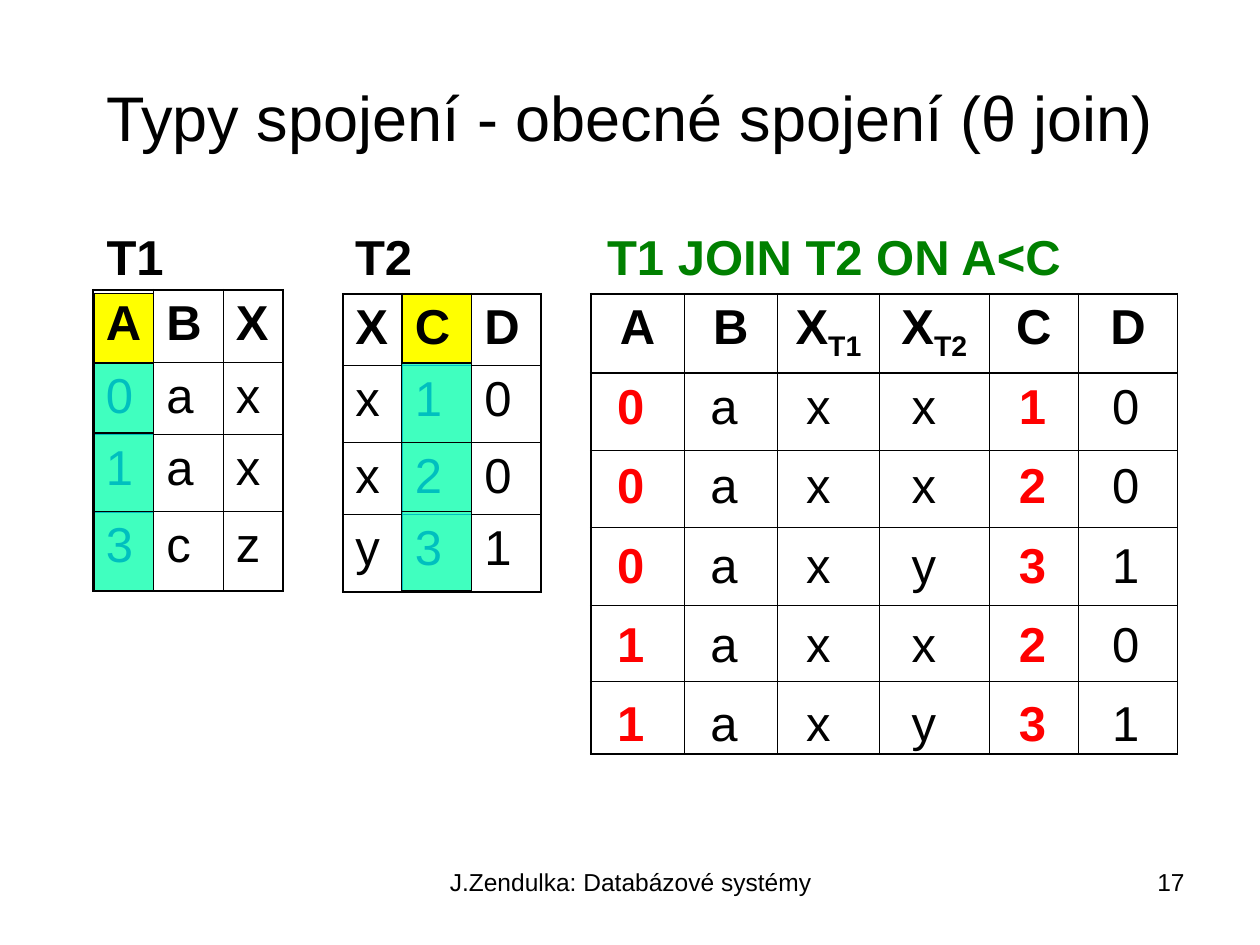
from lxml.etree import SubElement
from pptx import Presentation
from pptx.dml.color import RGBColor
from pptx.enum.shapes import MSO_SHAPE
from pptx.enum.text import MSO_ANCHOR, PP_ALIGN
from pptx.oxml.ns import qn
from pptx.util import Cm, Pt

BLACK, RED, GREEN = "000000", "FF0000", "008000"
YELLOW, CYAN = "FFFF00", "00FFFF"
THIN, THICK = 0.45, 1.08


def rgb(value):
    return RGBColor.from_string(value)


class SlideBuilder:
    font = "Arial"
    size = 28

    def __init__(self, slide):
        self.slide = slide

    def run(self, p, text, size=None, color=BLACK, bold=False, sub=False):
        r = p.add_run()
        r.text = text
        r.font.name = self.font
        r.font.size = Pt(size or self.size)
        r.font.bold = bold
        r.font.color.rgb = rgb(color)
        if sub:
            r.font._element.set("baseline", "-25000")

    def box(self, x, y, w, h, anchor=MSO_ANCHOR.TOP, align=PP_ALIGN.LEFT,
            left=0.25, top=0.13):
        """Add an empty text box and return its first paragraph."""
        tf = self.slide.shapes.add_textbox(Cm(x), Cm(y), Cm(w), Cm(h)).text_frame
        tf.word_wrap = True
        tf.vertical_anchor = anchor
        tf.margin_left, tf.margin_top = Cm(left), Cm(top)
        tf.paragraphs[0].alignment = align
        return tf.paragraphs[0]

    def text(self, x, y, w, h, text, size=None, color=BLACK, bold=False, **layout):
        self.run(self.box(x, y, w, h, **layout), text, size, color, bold)

    def tabbed_row(self, x, y, w, h, values, stops, marked):
        """Write values on tab stops, those in marked columns bold red."""
        p = self.box(x, y, w, h, left=0.53, top=0.25)
        tabs = SubElement(p._p.get_or_add_pPr(), qn("a:tabLst"))
        for stop in stops:
            SubElement(tabs, qn("a:tab"), pos=str(Cm(stop)), algn="l")
        for i, value in enumerate(values):
            if i:
                self.run(p, "\t")
            hit = i in marked
            self.run(p, value, color=RED if hit else BLACK, bold=hit)

    def rect(self, x, y, w, h, color, opacity=100):
        sp = self.slide.shapes.add_shape(
            MSO_SHAPE.RECTANGLE, Cm(x), Cm(y), Cm(w), Cm(h))
        sp.shadow.inherit = False
        sp.fill.solid()
        sp.fill.fore_color.rgb = rgb(color)
        if opacity < 100:
            clr = sp.fill._xPr.find(qn("a:solidFill"))[0]
            SubElement(clr, qn("a:alpha"), val=str(opacity * 1000))
        sp.line.color.rgb = rgb(BLACK)
        sp.line.width = Pt(0.75)

    def border(self, cell, side, width):
        ln = SubElement(cell._tc.get_or_add_tcPr(), qn("a:" + side),
                        w=str(Pt(width)))
        fill = SubElement(ln, qn("a:solidFill"))
        SubElement(fill, qn("a:srgbClr"), val=BLACK)

    def table(self, x, y, widths, heights, rows, align=PP_ALIGN.LEFT):
        """Add a ruled table; a cell "X_T1" shows T1 as a subscript."""
        n_rows, n_cols = len(heights), len(widths)
        tbl = self.slide.shapes.add_table(
            n_rows, n_cols, Cm(x), Cm(y), Cm(sum(widths)), Cm(sum(heights))).table
        tbl.first_row = tbl.horz_banding = False
        for column, width in zip(tbl.columns, widths):
            column.width = Cm(width)
        for row, height in zip(tbl.rows, heights):
            row.height = Cm(height)
        for i in range(n_rows):
            for j in range(n_cols):
                cell = tbl.cell(i, j)
                thick = {"lnL": j == 0, "lnR": j == n_cols - 1,
                         "lnT": i < 2, "lnB": i in (0, n_rows - 1)}
                for side, is_thick in thick.items():
                    self.border(cell, side, THICK if is_thick else THIN)
                cell.fill.background()
                if i < len(rows):
                    p = cell.text_frame.paragraphs[0]
                    p.alignment = align
                    base, _, index = rows[i][j].partition("_")
                    self.run(p, base, bold=i == 0)
                    if index:
                        self.run(p, index, bold=i == 0, sub=True)


def main():
    prs = Presentation()
    prs.slide_width, prs.slide_height = Cm(25.4), Cm(19.05)
    s = SlideBuilder(prs.slides.add_slide(prs.slide_layouts[6]))

    s.text(8.69, 17.35, 8.05, 1.32, "J.Zendulka: Databázové systémy", 14,
           align=PP_ALIGN.CENTER)
    s.text(18.21, 17.35, 5.92, 1.32, "17", 14, align=PP_ALIGN.RIGHT)
    s.text(1.27, 0.76, 22.86, 3.18, "Typy spojení - obecné spojení (θ join)", 36,
           anchor=MSO_ANCHOR.MIDDLE, align=PP_ALIGN.CENTER)

    # Join columns: left, width and the (top, height) of each value
    join_columns = [
        (1.9, 1.2, [(7.32, 1.4), (8.74, 1.6), (10.31, 1.6)]),
        (8.1, 1.4, [(7.32, 1.6), (8.92, 1.4), (10.31, 1.6)]),
    ]
    for x, w, _ in join_columns:
        s.rect(x, 5.92, w, 6, YELLOW)

    s.table(1.88, 5.84, [1.22, 1.4, 1.2], [1.47, 1.45, 1.55, 1.6],
            ["ABX", "0ax", "1ax", "3cz"])
    s.table(6.91, 5.92, [1.2, 1.4, 1.4], [1.45, 1.55, 1.45, 1.57],
            ["XCD", "x10", "x20", "y31"])
    s.table(11.91, 5.92, [1.88, 1.88, 2.06, 2.21, 1.8, 2],
            [1.6, 1.55, 1.55, 1.57, 1.55, 1.45],
            [["A", "B", "X_T1", "X_T2", "C", "D"]], PP_ALIGN.CENTER)

    for x, w, label, color in [(1.9, 1.8, "T1", BLACK), (6.91, 1.8, "T2", BLACK),
                               (11.99, 9.9, "T1 JOIN T2 ON A<C", GREEN)]:
        s.text(x, 4.32, w, 1.45, label, color=color, bold=True, top=0.25)

    for x, w, spans in join_columns:
        for y, h in spans:
            s.rect(x, y, w, h, CYAN, 75)

    for i, values in enumerate(["0axx10", "0axx20", "0axy31", "1axx20", "1axy31"]):
        s.tabbed_row(11.91, 7.32 + 1.6 * i, 12, 1.45, values,
                     [1.88, 3.81, 5.94, 8.1, 9.98], marked=(0, 4))

    prs.save("out.pptx")


if __name__ == "__main__":
    main()
